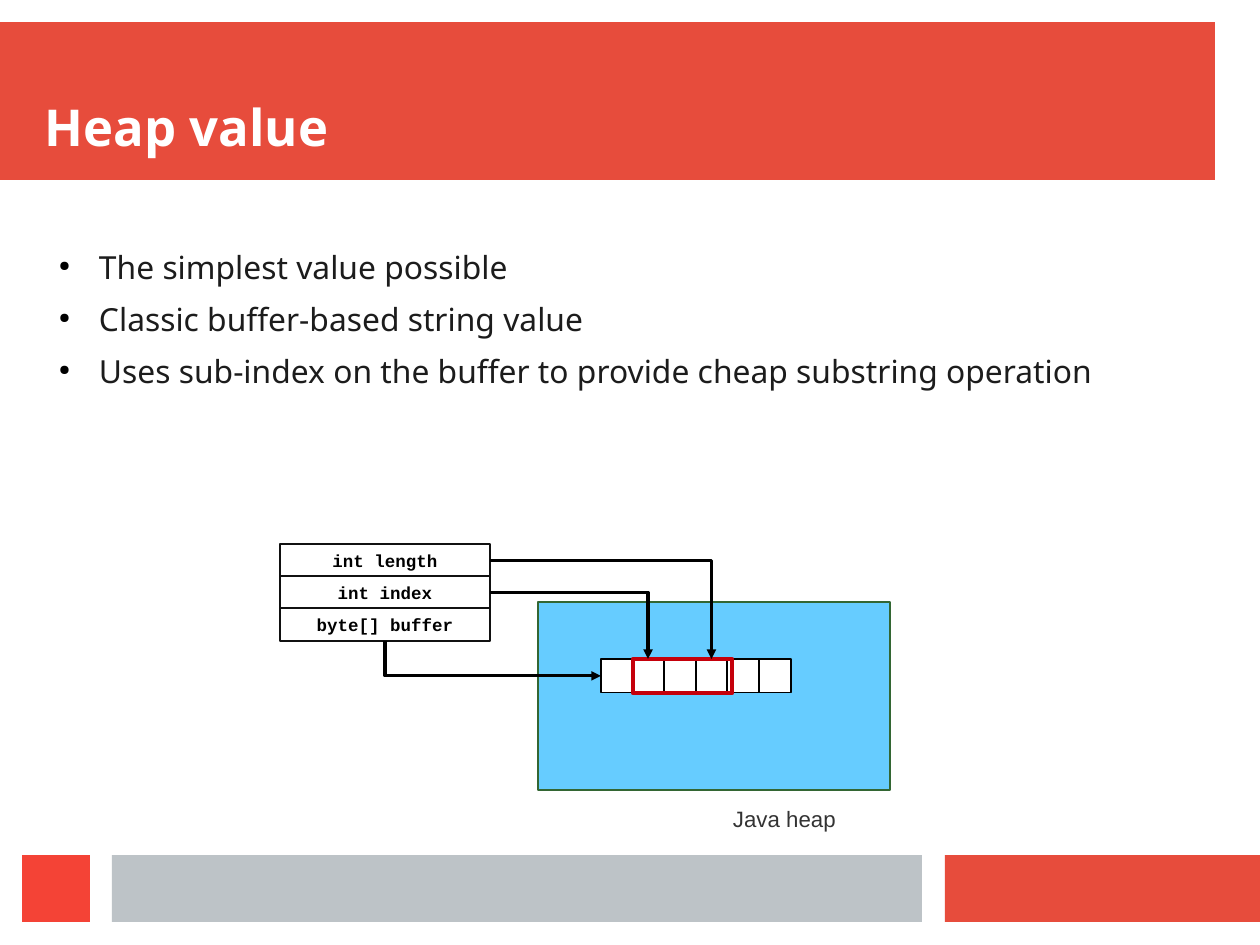
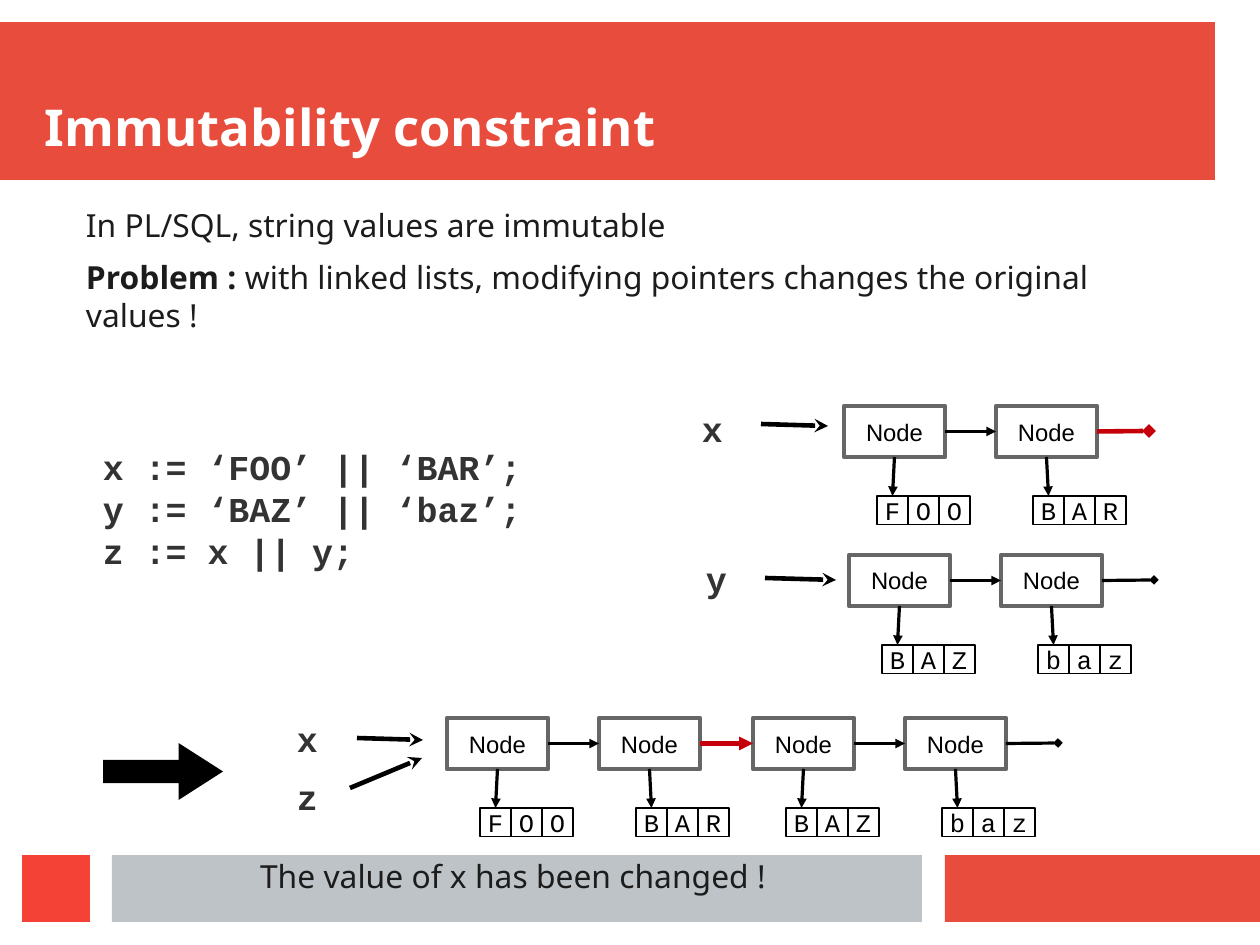
from lxml import etree
from pptx import Presentation
from pptx.dml.color import RGBColor
from pptx.enum.shapes import MSO_CONNECTOR, MSO_SHAPE
from pptx.enum.text import MSO_ANCHOR, PP_ALIGN
from pptx.oxml.ns import qn
from pptx.util import Emu, Pt

RECT, RIGHT_ARROW = MSO_SHAPE.RECTANGLE, MSO_SHAPE.RIGHT_ARROW
STRAIGHT, ELBOW = MSO_CONNECTOR.STRAIGHT, MSO_CONNECTOR.ELBOW
LEFT, CENTER = PP_ALIGN.LEFT, PP_ALIGN.CENTER
TOP, MIDDLE, BOTTOM = MSO_ANCHOR.TOP, MSO_ANCHOR.MIDDLE, MSO_ANCHOR.BOTTOM
SIDE_TOP, SIDE_LEFT, SIDE_BOTTOM, SIDE_RIGHT = range(4)

BAND_RED = RGBColor(0xE7, 0x4C, 0x3C)
CORNER_RED = RGBColor(0xF4, 0x43, 0x36)
BAND_GREY = RGBColor(0xBD, 0xC3, 0xC7)
MARK_RED = RGBColor(0xC5, 0x00, 0x0B)
HEAP_BLUE = RGBColor(0x66, 0xCC, 0xFF)
HEAP_EDGE = RGBColor(0x33, 0x66, 0x33)
NODE_EDGE = RGBColor(0x66, 0x66, 0x66)
FIELD_EDGE = RGBColor(0x11, 0x11, 0x11)
INK = RGBColor(0x1C, 0x1C, 0x1C)
CODE_INK = RGBColor(0x33, 0x33, 0x33)
BLACK = RGBColor(0, 0, 0)
WHITE = RGBColor(0xFF, 0xFF, 0xFF)

SANS, ARIAL, MONO = "Noto Sans", "Arial", "Courier New"
HAIR, THICK = 0, 2.89
BODY = {"size": 20, "gap": 8.7}
CODE = {"font": MONO, "size": 22, "color": CODE_INK, "bold": True}

SCALE = 8000  # EMU in one px
SLIDE_W, SLIDE_H = 1260, 945
BANDS = [
    (0, 22, 1215, 158, BAND_RED),
    (945, 855, 315, 67, BAND_RED),
    (112, 855, 810, 67, BAND_GREY),
    (22, 855, 68, 67, CORNER_RED),
]
NODE_W, NODE_H, NODE_PITCH = 101, 51, 152
CELL_W, CELL_H, CELL_DROP = 31, 29, 90
CELL_SHIFTS = (33, 37)
LINK_W = 52


def px(n):
    return Emu(n * SCALE)


def add_bullet(p):
    pPr = p._p.get_or_add_pPr()
    pPr.set("marL", str(px(54)))
    pPr.set("indent", str(px(-40)))
    clr = etree.SubElement(pPr, qn("a:buClr"))
    etree.SubElement(clr, qn("a:srgbClr"), val=str(BLACK))
    etree.SubElement(pPr, qn("a:buSzPct"), val="45000")
    etree.SubElement(pPr, qn("a:buChar"), char="●")


def write(sp, *paragraphs, font=SANS, size=20, color=INK, bold=False,
          align=LEFT, anchor=TOP, gap=0, bullet=False, wrap=True):
    """Fill sp; a paragraph is a string or a list of (string, bold) runs."""
    tf = sp.text_frame
    tf.word_wrap = wrap
    tf.vertical_anchor = anchor
    tf.margin_left = tf.margin_right = tf.margin_top = tf.margin_bottom = 0
    for i, runs in enumerate(paragraphs):
        p = tf.add_paragraph() if i else tf.paragraphs[0]
        if bullet:
            add_bullet(p)
        p.alignment = align
        p.space_after = Pt(gap)
        for text, strong in [(runs, bold)] if isinstance(runs, str) else runs:
            r = p.add_run()
            r.text = text
            r.font.name, r.font.size, r.font.bold = font, Pt(size), strong
            r.font.color.rgb = color


def add_text(s, box, *paragraphs, **fmt):
    write(s.shapes.add_textbox(*map(px, box)), *paragraphs, **fmt)


def add_box(s, box, fill=None, line=None, width=HAIR, kind=RECT):
    sp = s.shapes.add_shape(kind, *map(px, box))
    sp.shadow.inherit = False
    if fill is None:
        sp.fill.background()
    else:
        sp.fill.solid()
        sp.fill.fore_color.rgb = fill
    if line is None:
        sp.line.fill.background()
    else:
        sp.line.color.rgb = line
        sp.line.width = Pt(width)
    return sp


def add_label_box(s, box, text, fill, line, width=HAIR, **fmt):
    sp = add_box(s, box, fill, line, width)
    write(sp, text, color=BLACK, align=CENTER, anchor=MIDDLE, wrap=False, **fmt)
    return sp


def add_arrow(s, start, end, color=BLACK, width=HAIR, head="triangle",
              kind=STRAIGHT, at_start=False):
    """Join two ends, each an (x, y) point or a (shape, side) pair."""
    points = [(0, 0) if not isinstance(e[0], int) else e for e in (start, end)]
    cn = s.shapes.add_connector(kind, *(px(n) for pt in points for n in pt))
    for e, join in ((start, cn.begin_connect), (end, cn.end_connect)):
        if not isinstance(e[0], int):
            join(*e)
    cn.line.color.rgb = color
    cn.line.width = Pt(width)
    tag = "a:headEnd" if at_start else "a:tailEnd"
    etree.SubElement(cn.line._get_or_add_ln(), qn(tag), type=head)
    spPr = cn._element.spPr
    etree.SubElement(spPr, qn("a:effectLst"))
    if kind == ELBOW:
        spPr.find(qn("a:prstGeom")).set("prst", "bentConnector2")
    return cn


def new_slide(prs, title):
    s = prs.slides.add_slide(prs.slide_layouts[6])
    for *box, color in BANDS:
        add_box(s, box, color)
    add_text(s, (45, 45, 1170, 112), title, size=32, color=WHITE, bold=True,
             anchor=BOTTOM)
    return s


def draw_fields(s, x, y):
    """Stack the value's fields and return their boxes."""
    names = ("int length", "int index", "byte[] buffer")
    return [add_label_box(s, (x, y + 32 * i, 210, 33), name, WHITE, FIELD_EDGE,
                          font=MONO, size=11, bold=True)
            for i, name in enumerate(names)]


def draw_heap(s, x, y):
    """Draw the heap with its buffer and return the buffer's cells."""
    add_box(s, (x, y, 352, 188), HEAP_BLUE, HEAP_EDGE)
    left, top, width, count = x + 63, y + 57, 190, 6
    edges = [left + width * i // count for i in range(count + 1)]
    cells = [add_box(s, (a, top, b - a, 34), WHITE, BLACK)
             for a, b in zip(edges, edges[1:])]
    add_box(s, (edges[1] + 1, top, 99, 34), None, MARK_RED, THICK)
    add_text(s, (x + 195, y + 203, 154, 40), "Java heap", font=ARIAL, size=14,
             color=CODE_INK)
    return cells


def draw_chain(s, x, y, words):
    """Draw one linked node per word and return the nodes."""
    nodes = []
    for i, (word, shift) in enumerate(zip(words, CELL_SHIFTS)):
        left = x + NODE_PITCH * i
        node = add_label_box(s, (left, y, NODE_W, NODE_H), "Node", None,
                             NODE_EDGE, THICK, font=ARIAL, size=15)
        cells = [add_label_box(s, (left + shift + CELL_W * j, y + CELL_DROP,
                                   CELL_W, CELL_H), letter, WHITE, BLACK,
                               font=MONO, size=16)
                 for j, letter in enumerate(word)]
        add_arrow(s, (node, SIDE_BOTTOM), (cells[0], SIDE_TOP))
        if nodes:
            add_arrow(s, (nodes[-1], SIDE_RIGHT), (node, SIDE_LEFT))
        nodes.append(node)
    return nodes


def end_chain(s, node, **fmt):
    """Draw the empty link that leaves the last node."""
    x = (node.left + node.width) // SCALE + LINK_W
    y = (node.top + node.height // 2) // SCALE
    add_arrow(s, (node, SIDE_RIGHT), (x, y), head="diamond", **fmt)


def draw_variable(s, x, y, name, start, end):
    add_text(s, (x, y, 38, 69), name, **CODE)
    add_arrow(s, start, end, width=THICK, head="stealth")


def heap_slide(prs):
    s = new_slide(prs, "Heap value")
    add_text(s, (45, 248, 1148, 200),
             "The simplest value possible",
             "Classic buffer-based string value",
             "Uses sub-index on the buffer to provide cheap substring operation",
             bullet=True, **BODY)
    cells = draw_heap(s, 538, 602)
    length, index, buffer = draw_fields(s, 280, 544)
    add_arrow(s, (length, SIDE_RIGHT), (cells[3], SIDE_TOP), kind=ELBOW)
    add_arrow(s, (index, SIDE_RIGHT), (cells[1], SIDE_TOP), kind=ELBOW)
    add_arrow(s, (cells[0], SIDE_LEFT), (buffer, SIDE_BOTTOM), kind=ELBOW,
              at_start=True)


def immutability_slide(prs):
    s = new_slide(prs, "Immutability constraint")
    add_text(s, (86, 206, 1080, 191),
             "In PL/SQL, string values are immutable",
             [("Problem :", True),
              (" with linked lists, modifying pointers changes the original "
               "values !", False)], **BODY)
    add_text(s, (103, 446, 514, 138), "x := ‘FOO’ || ‘BAR’;",
             "y := ‘BAZ’ || ‘baz’;", "z := x || y;", **CODE)

    x_nodes = draw_chain(s, 844, 406, ("FOO", "BAR"))
    end_chain(s, x_nodes[-1], color=MARK_RED, width=THICK)
    y_nodes = draw_chain(s, 849, 555, ("BAZ", "baz"))
    end_chain(s, y_nodes[-1])
    front = draw_chain(s, 447, 718, ("FOO", "BAR"))
    back = draw_chain(s, 753, 718, ("BAZ", "baz"))
    add_arrow(s, (front[-1], SIDE_RIGHT), (back[0], SIDE_LEFT), MARK_RED, THICK)
    end_chain(s, back[-1])

    draw_variable(s, 702, 408, "x", (761, 424), (828, 426))
    draw_variable(s, 706, 558, "y", (765, 578), (836, 580))
    draw_variable(s, 297, 718, "x", (357, 738), (423, 740))
    draw_variable(s, 297, 776, "z", (350, 788), (422, 758))

    arrow = add_box(s, (103, 743, 120, 57), BLACK, kind=RIGHT_ARROW)
    arrow.adjustments[0], arrow.adjustments[1] = 0.41, 0.78
    add_text(s, (260, 857, 660, 60), "The value of x has been changed !", **BODY)


def main():
    prs = Presentation()
    prs.slide_width, prs.slide_height = px(SLIDE_W), px(SLIDE_H)
    heap_slide(prs)
    immutability_slide(prs)
    prs.save("out.pptx")


if __name__ == "__main__":
    main()
